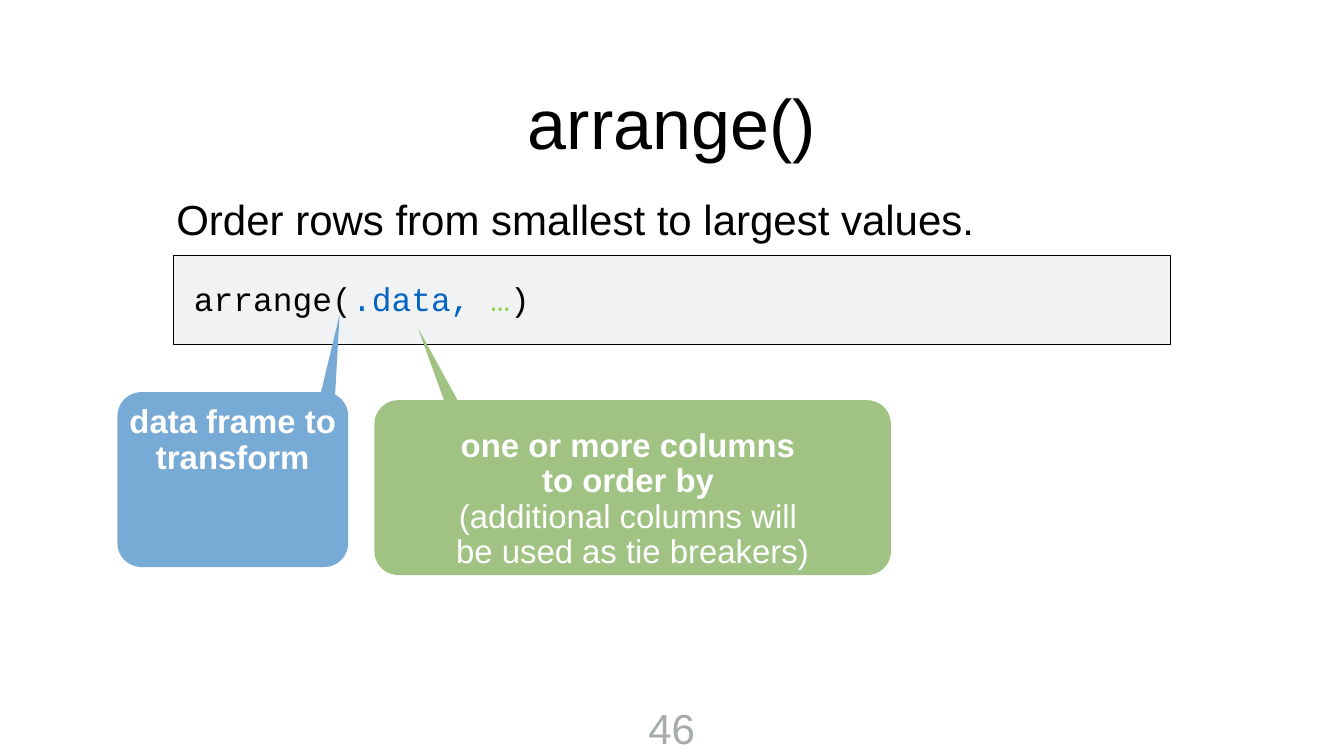
from math import asin, cos, degrees, radians, sin

from pptx import Presentation
from pptx.dml.color import RGBColor
from pptx.enum.shapes import MSO_SHAPE as SHAPE
from pptx.enum.text import MSO_ANCHOR as ANCHOR, PP_ALIGN as ALIGN
from pptx.util import Inches, Pt

SLIDE_W, SLIDE_H = 26.67, 15
RADIUS = 0.475
BLACK, WHITE = "000000", "FFFFFF"
BLUE, GREEN = "78AAD6", "A0C283"


def rgb(value):
    return RGBColor.from_string(value)


def write(s, paragraphs, size, font="Arial", align=ALIGN.LEFT,
          anchor=ANCHOR.MIDDLE, inset=0.06, spacing=None, wrap=True):
    """Fill a shape; each paragraph is a list of (text, colour, bold) runs."""
    tf = s.text_frame
    tf.word_wrap = wrap
    tf.vertical_anchor = anchor
    tf.margin_left = tf.margin_right = Inches(inset)
    tf.margin_top = tf.margin_bottom = Inches(inset)
    for i, runs in enumerate(paragraphs):
        p = tf.add_paragraph() if i else tf.paragraphs[0]
        p.alignment = align
        if spacing:
            p.line_spacing = spacing
        for text, colour, bold in runs:
            for n, line in enumerate(text.split("\n")):
                if n:
                    p.add_line_break()
                r = p.add_run()
                r.text = line
                r.font.name, r.font.size, r.font.bold = font, Pt(size), bold
                r.font.color.rgb = rgb(colour)


def add_text(slide, box, paragraphs, size, **fmt):
    s = slide.shapes.add_textbox(*map(Inches, box))
    write(s, paragraphs, size, **fmt)


def add_title(slide, box, text):
    s = slide.shapes.title
    s.left, s.top, s.width, s.height = map(Inches, box)
    write(s, [[(text, BLACK, False)]], 100, align=ALIGN.CENTER)


def add_panel(slide, box, fill):
    s = slide.shapes.add_shape(SHAPE.RECTANGLE, *map(Inches, box))
    s.shadow.inherit = False
    s.fill.solid()
    s.fill.fore_color.rgb = rgb(fill)
    s.line.color.rgb = rgb(BLACK)
    s.line.width = Pt(1)


def arc(cx, cy, start, end, steps=12):
    """Points of a corner, with angles clockwise from the top."""
    angles = [radians(start + (end - start) * i / steps) for i in range(steps + 1)]
    return [(cx + RADIUS * sin(a), cy - RADIUS * cos(a)) for a in angles]


def add_callout(slide, box, tip, base, fill, paragraphs, anchor):
    """Rounded box whose pointer leaves the top edge between the base x values."""
    x, y, w, h = box
    left, right = x + RADIUS, x + w - RADIUS
    top, bottom = y + RADIUS, y + h - RADIUS
    # The pointer may reach into the top right corner
    overlap = max(0, base[1] - right)
    points = [] if overlap else [(base[1], y)]
    points += arc(right, top, degrees(asin(overlap / RADIUS)), 90)
    points += arc(right, bottom, 90, 180)
    points += arc(left, bottom, 180, 270)
    points += arc(left, top, 270, 360)
    points.append((base[0], y))

    builder = slide.shapes.build_freeform(Inches(tip[0]), Inches(tip[1]))
    builder.add_line_segments([(Inches(px), Inches(py)) for px, py in points])
    s = builder.convert_to_shape()
    s.shadow.inherit = False
    s.fill.solid()
    s.fill.fore_color.rgb = rgb(fill)
    s.line.fill.background()
    write(s, paragraphs, 47, align=ALIGN.CENTER, anchor=anchor,
          inset=0.08, spacing=0.9)


def main():
    prs = Presentation()
    prs.slide_width, prs.slide_height = Inches(SLIDE_W), Inches(SLIDE_H)
    slide = prs.slides.add_slide(prs.slide_layouts[5])

    # Heading and summary
    add_panel(slide, (3.45, 5.06, 19.77, 1.77), "F0F2F4")
    add_title(slide, (4.38, 1.1, 17.9, 2.62), "arrange()")
    add_text(slide, (3.44, 3.55, 18.23, 1.56),
             [[("Order rows from smallest to largest values.", BLACK, False)]], 60)

    # Function call
    code = [("arrange(", BLACK, False), (".data, ", "0365C0", False),
            ("…", "92D050", False), (")", BLACK, False)]
    add_text(slide, (3.79, 5.46, 17.24, 1.56), [code], 47,
             font="Courier New", anchor=ANCHOR.TOP)

    # Explanations of the arguments
    add_callout(slide, (7.43, 7.94, 10.25, 3.47), (8.29, 6.5), (8.81, 9.08), GREEN,
                [[("one or more columns \nto order by ", WHITE, True)],
                 [("(additional columns will \nbe used as tie breakers)",
                   WHITE, False)]], ANCHOR.BOTTOM)
    add_callout(slide, (2.33, 7.78, 4.58, 3.47), (6.74, 6.24), (6.37, 6.65), BLUE,
                [[("data frame to transform", WHITE, True)]], ANCHOR.MIDDLE)

    # Page number
    add_text(slide, (12.78, 13.85, 1.1, 1.16), [[("46", "A6AAA9", False)]], 60,
             align=ALIGN.CENTER, anchor=ANCHOR.TOP, inset=0.08, wrap=False)

    prs.save("out.pptx")


if __name__ == "__main__":
    main()
